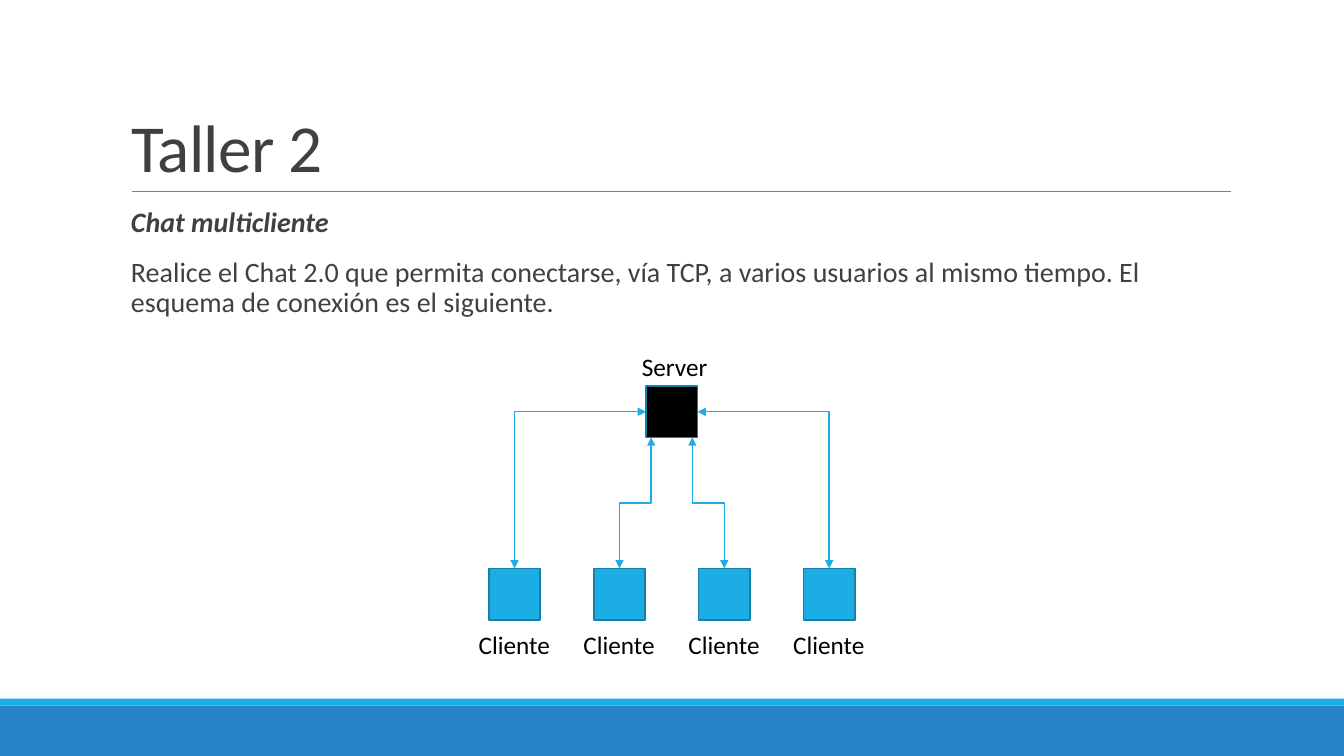
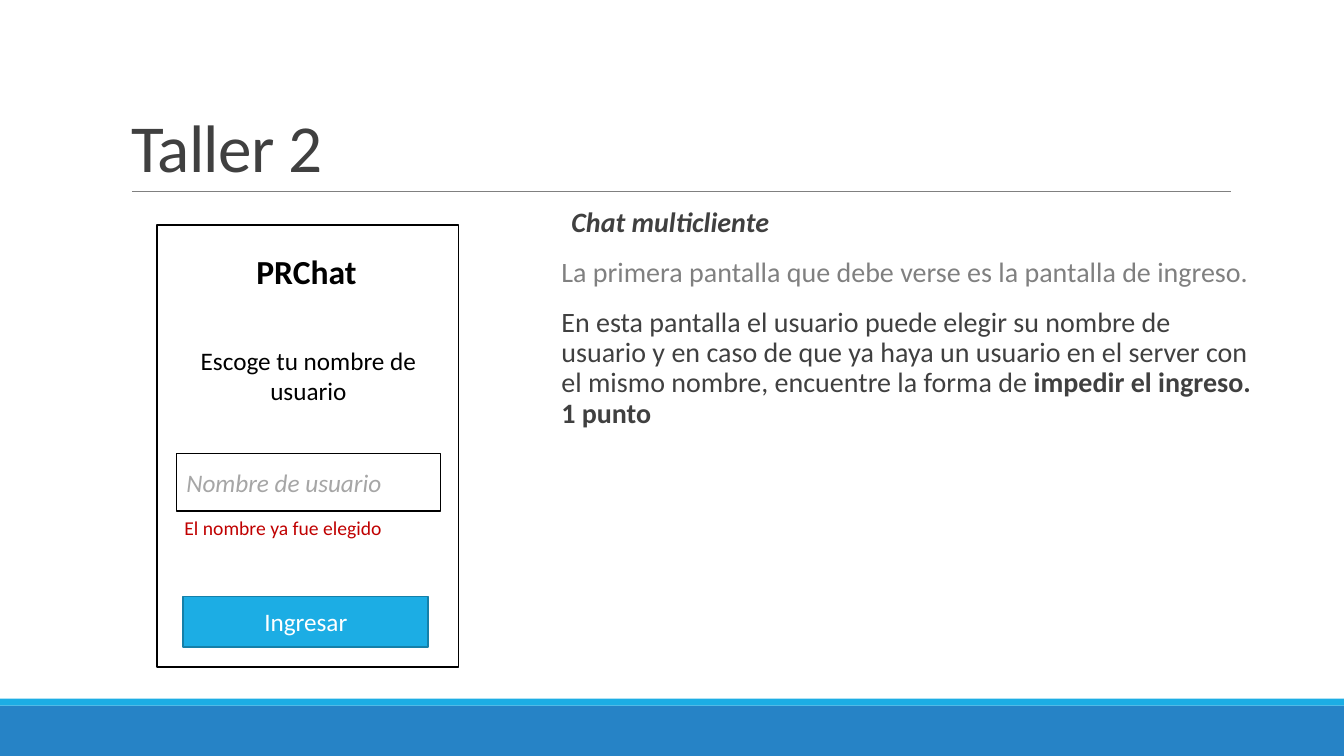
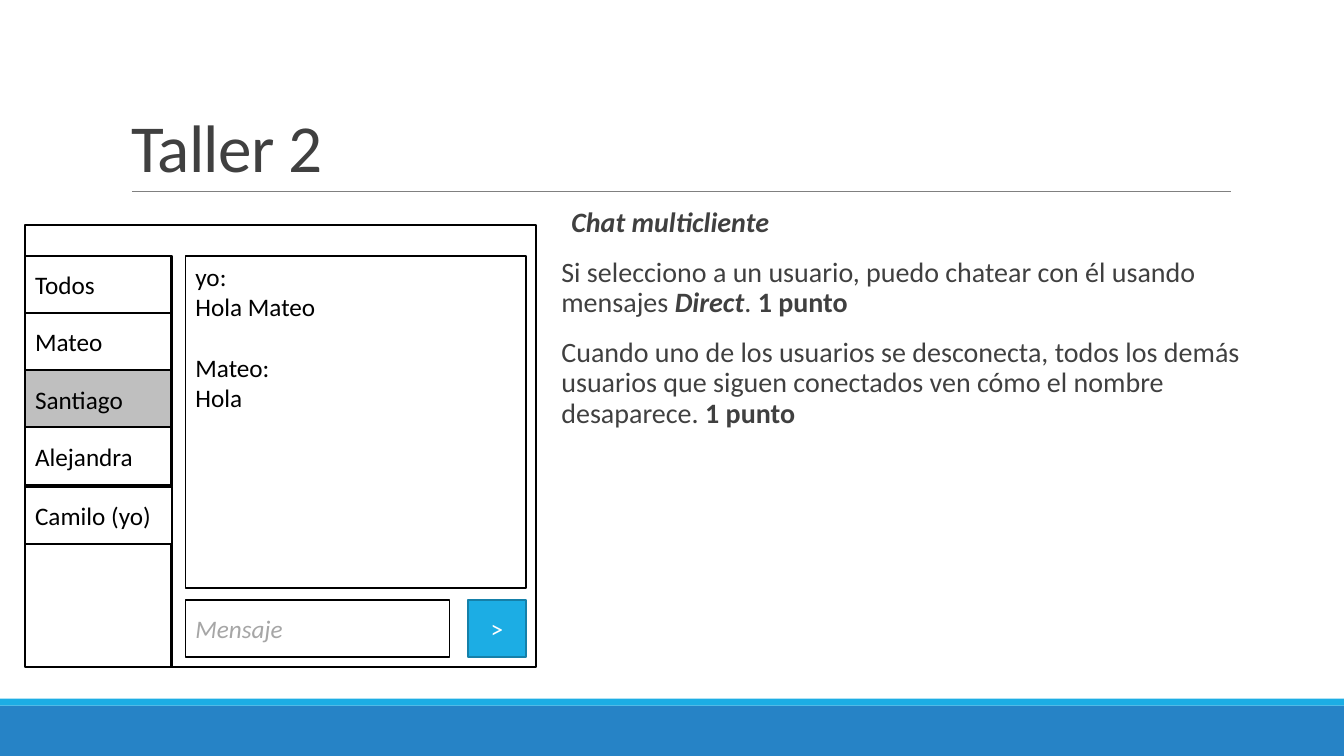
import dataclasses

import pptx
import pptx.dml.color
import pptx.enum.shapes
import pptx.enum.text
import pptx.oxml
import pptx.oxml.ns
import pptx.shapes.connector
import pptx.util

Pt = pptx.util.Pt
RGB = pptx.dml.color.RGBColor.from_string
RECTANGLE = pptx.enum.shapes.MSO_SHAPE.RECTANGLE
CONNECTOR = pptx.enum.shapes.MSO_CONNECTOR
ALIGN = pptx.enum.text.PP_ALIGN
ANCHOR = pptx.enum.text.MSO_ANCHOR


@dataclasses.dataclass(frozen=True)
class Theme:
    font: str = "Calibri"
    sky: str = "1CADE4"
    sky_edge: str = "1580A9"
    blue: str = "2683C6"
    black: str = "000000"
    white: str = "FFFFFF"
    ink: str = "404040"
    gray: str = "808080"
    hint: str = "A6A6A6"
    selected: str = "BFBFBF"
    error: str = "C00000"
    title_size: int = 48
    app_size: int = 24
    body_size: int = 20
    label_size: int = 18
    error_size: int = 14
    outline: float = 1.25


theme = Theme()


def write(shape, text, size=theme.label_size, color=theme.black, bold=False, italic=False,
          align=ALIGN.LEFT, indent=0, line_spacing=None, before=0, after=0, tracking=None):
    """Add one paragraph; text is a string or a list of (string, font overrides)."""
    frame = shape.text_frame
    paragraph = frame.add_paragraph() if frame.text else frame.paragraphs[0]
    paragraph.alignment = align
    paragraph.line_spacing = line_spacing
    paragraph.space_before, paragraph.space_after = Pt(before), Pt(after)
    if indent:
        paragraph._p.get_or_add_pPr().set("marL", str(Pt(indent)))
    for words, overrides in [(text, {})] if isinstance(text, str) else text:
        run = paragraph.add_run()
        run.text = words
        run.font.name, run.font.size = theme.font, Pt(size)
        run.font.color.rgb = RGB(color)
        run.font.bold = overrides.get("bold", bold)
        run.font.italic = overrides.get("italic", italic)
        if tracking:
            run._r.get_or_add_rPr().set("spc", str(tracking))


def add_box(slide, left, top, width, height, fill=None, line=None, anchor=ANCHOR.MIDDLE, wrap=True):
    """Add a filled rectangle, or a text box when there is no fill."""
    frame = [Pt(length) for length in (left, top, width, height)]
    if fill:
        box = slide.shapes.add_shape(RECTANGLE, *frame)
        box.shadow.inherit = False
        box.fill.solid()
        box.fill.fore_color.rgb = RGB(fill)
        if line:
            box.line.color.rgb = RGB(line)
            box.line.width = Pt(theme.outline)
        else:
            box.line.fill.background()
    else:
        box = slide.shapes.add_textbox(*frame)
    box.text_frame.word_wrap = wrap
    box.text_frame.vertical_anchor = anchor
    return box


deck = pptx.Presentation()
deck.slide_width, deck.slide_height = Pt(960), Pt(540)
layout = deck.slide_layouts[5]

# Title and body of every slide: left and width of the body, then its paragraphs
strong = {"bold": True}
lessons = [
    (86.4, 792, [
        ("Realice el Chat 2.0 que permita conectarse, vía TCP, a varios usuarios al mismo tiempo. "
         "El esquema de conexión es el siguiente.", {"indent": 7.2})]),
    (401, 495.4, [
        ("La primera pantalla que debe verse es la pantalla de ingreso.", {"color": theme.gray}),
        ([("En esta pantalla el usuario puede elegir su nombre de usuario y en caso de que ya haya "
           "un usuario en el server con el mismo nombre, encuentre la forma de ", {}),
          ("impedir el ingreso. 1 punto", strong)], {})]),
    (401, 518.4, [
        ([("Si selecciono a un usuario, puedo chatear con él usando mensajes ", {}),
          ("Direct", {"bold": True, "italic": True}), (". ", {}), ("1 punto", strong)], {}),
        ([("Cuando uno de los usuarios se desconecta, todos los demás usuarios que siguen "
           "conectados ven cómo el nombre desaparece. ", {}), ("1 punto", strong)], {})]),
]
body_format = dict(size=theme.body_size, line_spacing=0.9, before=12, after=2)

for body_left, body_width, paragraphs in lessons:
    slide = deck.slides.add_slide(layout)
    title = slide.shapes.title
    title.left, title.top, title.width, title.height = Pt(86.4), Pt(22.6), Pt(792), Pt(114.2)
    title.text_frame.vertical_anchor = ANCHOR.BOTTOM
    title.text_frame.auto_size = pptx.enum.text.MSO_AUTO_SIZE.NONE
    write(title, "Taller 2", size=theme.title_size, color=theme.ink, line_spacing=0.85, tracking=-50)

    body = add_box(slide, body_left, 145.4, body_width, 316.8, anchor=ANCHOR.TOP)
    body.text_frame.margin_left = body.text_frame.margin_right = 0
    write(body, "Chat multicliente", color=theme.ink, bold=True, italic=True, indent=7.2, **body_format)
    for text, changes in paragraphs:
        write(body, text, **{"color": theme.ink, **body_format, **changes})

scheme, login, chat = deck.slides

# Bands and title rule, drawn once and moved to the layout
blue_band = add_box(scheme, 0, 504, 960, 36, theme.blue)
sky_band = add_box(scheme, 0, 499, 960, 5, theme.sky)
title_rule = scheme.shapes.add_connector(CONNECTOR.STRAIGHT, Pt(94.3), Pt(136.8), Pt(879.1), Pt(136.8))
title_rule.line.color.rgb = RGB(theme.gray)
title_rule.line.width = Pt(0.5)
for part in (blue_band, sky_band, title_rule):
    layout.shapes.element.append(part.element)

# Slide 1: server and its four clients
node = 36.7
server_left, server_top = 461.5, 275.8
server_right, server_bottom = server_left + node, server_top + node
server_middle = server_top + node / 2
client_left, client_top, client_pitch = 349.2, 406.1, 74.9
add_box(scheme, server_left, server_top, node, node, theme.black, theme.sky_edge)
server_label = add_box(scheme, 451.4, 247.7, 61.9, 28.8, anchor=ANCHOR.TOP, wrap=False)
write(server_label, "Server")

ports = [
    (server_left, server_middle, "bentConnector2"),
    (server_left + 3.6, server_bottom, "bentConnector3"),
    (server_right - 3.6, server_bottom, "bentConnector3"),
    (server_right, server_middle, "bentConnector2"),
]
for index, (port_x, port_y, bend) in enumerate(ports):
    left = client_left + index * client_pitch
    add_box(scheme, left, client_top, node, node, theme.sky, theme.sky_edge)
    client_label = add_box(scheme, left - 14.4, 445.7, 66.2, 28.8, anchor=ANCHOR.TOP, wrap=False)
    write(client_label, "Cliente")

    # The link leaves upwards: its frame is laid flat, then turned about its centre
    client_x = left + node / 2
    rise, run = client_top - port_y, abs(port_x - client_x)
    link_left = (client_x + port_x - rise) / 2
    link_top = (client_top + port_y - run) / 2
    link = scheme.shapes.add_connector(CONNECTOR.ELBOW, Pt(link_left), Pt(link_top),
                                       Pt(link_left + rise), Pt(link_top + run))
    link.line.color.rgb = RGB(theme.sky)
    link.line.width = Pt(1)
    goes_right = port_x > client_x
    turn = link.element.spPr.find(pptx.oxml.ns.qn("a:xfrm"))
    turn.set("rot", str((90 if goes_right else 270) * 60000))
    turn.set("flipH", str(int(goes_right)))
    turn.set("flipV", "1")
    link.element.spPr.find(pptx.oxml.ns.qn("a:prstGeom")).set("prst", bend)
    stroke = link.element.spPr.find(pptx.oxml.ns.qn("a:ln"))
    for end in ("a:headEnd", "a:tailEnd"):
        arrowhead = pptx.oxml.parse_xml(f'<{end} {pptx.oxml.ns.nsdecls("a")} type="triangle"/>')
        stroke.append(arrowhead)

# Slide 2: login screen
field_width, field_height = 188.6, 41
add_box(login, 112.3, 160.6, 215.3, 316.1, theme.white, theme.black)
app_name = add_box(login, 124.6, 172.8, field_width, field_height, theme.white)
write(app_name, "PRChat", size=theme.app_size, bold=True, align=ALIGN.CENTER)
prompt = add_box(login, 126, 247.7, field_width, field_height, theme.white)
write(prompt, "Escoge tu nombre de usuario", align=ALIGN.CENTER)
user_name = add_box(login, 126, 324, field_width, field_height, theme.white, theme.black)
write(user_name, "Nombre de usuario", color=theme.hint, italic=True)
enter_button = add_box(login, 131, 426.2, 175, 36, theme.sky, theme.sky_edge)
write(enter_button, "Ingresar", color=theme.white, align=ALIGN.CENTER)
name_error = add_box(login, 124.6, 356.4, field_width, field_height)
write(name_error, "El nombre ya fue elegido", size=theme.error_size, color=theme.error)

# Slide 3: chat window
window_left, messages_left, messages_top = 18, 132.5, 182.9
add_box(chat, window_left, 160.6, 365, 316.1, theme.white, theme.black)
message = add_box(chat, messages_left, 428.4, field_width, field_height, theme.white, theme.black)
write(message, "Mensaje", color=theme.hint, italic=True)
send_button = add_box(chat, 334.1, 428.4, 41.8, field_height, theme.sky, theme.sky_edge)
write(send_button, ">", color=theme.white, align=ALIGN.CENTER)
messages = add_box(chat, messages_left, messages_top, 243.4, 236.9, theme.white, theme.black, ANCHOR.TOP)
for line, gap in (("yo:", 0), ("Hola Mateo", 0), ("Mateo:", 22), ("Hola", 0)):
    write(messages, line, before=gap)

# Contacts, with the own name set apart over the divider
contacts = [(name, messages_top + index * 40.8)
            for index, name in enumerate(["Todos", "Mateo", "Santiago", "Alejandra"])]
for name, top in contacts + [("Camilo (yo)", 347.8)]:
    if name == "Camilo (yo)":
        divider = chat.shapes.add_connector(CONNECTOR.STRAIGHT, Pt(122.6), Pt(messages_top),
                                            Pt(122.6), Pt(476.7))
        divider.line.color.rgb = RGB(theme.black)
        divider.line.width = Pt(2.25)
    fill = theme.selected if name == "Santiago" else theme.white
    contact = add_box(chat, window_left, top, 105.1, field_height, fill, theme.black)
    write(contact, name)

# Connectors cast no shadow
for page in (layout, *deck.slides):
    for shape in page.shapes:
        if isinstance(shape, pptx.shapes.connector.Connector):
            shape.element.spPr.append(pptx.oxml.parse_xml(f'<a:effectLst {pptx.oxml.ns.nsdecls("a")}/>'))

deck.save("out.pptx")
